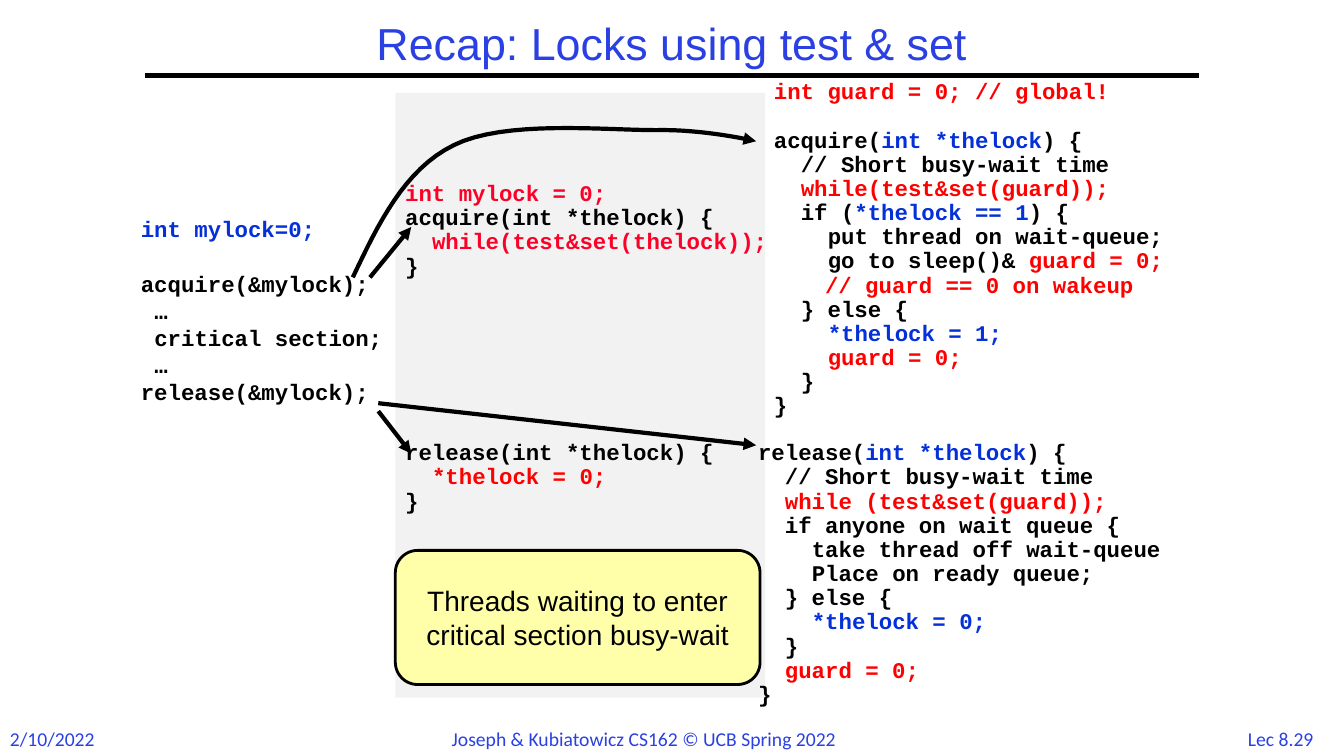
import pptx
import pptx.dml.color
import pptx.enum.shapes
import pptx.enum.text
import pptx.oxml.ns
import pptx.oxml.xmlchemy
import pptx.util
from pptx.util import Cm, Pt

RGBColor = pptx.dml.color.RGBColor
ALIGN = pptx.enum.text.PP_ALIGN
ANCHOR = pptx.enum.text.MSO_ANCHOR
SHAPE = pptx.enum.shapes.MSO_SHAPE
STRAIGHT = pptx.enum.shapes.MSO_CONNECTOR.STRAIGHT
qn = pptx.oxml.ns.qn

BLACK = RGBColor(0x00, 0x00, 0x00)
RED = RGBColor(0xFF, 0x00, 0x00)
CRIMSON = RGBColor(0xFC, 0x01, 0x28)
CODE_BLUE = RGBColor(0x03, 0x30, 0xD8)
TITLE_BLUE = RGBColor(0x2A, 0x40, 0xE2)
PANEL_GREY = RGBColor(0xF2, 0xF2, 0xF2)
CALLOUT_YELLOW = RGBColor(0xFF, 0xFF, 0xAA)

CODE_SIZE = 16
CHAR_WIDTH = 0.6 * CODE_SIZE
LINE_HEIGHT = 1.2 * CODE_SIZE
BLANK = None


def style(paragraph, font_name, size, color, align=ALIGN.LEFT, bold=False):
    """Set the font and alignment of a paragraph."""
    paragraph.alignment = align
    font = paragraph.font
    font.name, font.size, font.bold = font_name, Pt(size), bold
    font.color.rgb = color


def text_box(slide, box, wrap=True):
    """Add a text box and return its text frame."""
    frame = slide.shapes.add_textbox(*map(Cm, box)).text_frame
    frame.word_wrap = wrap
    return frame


def code_block(slide, box, lines, spacing=0.9, gap=0):
    """Write code lines, each an indent in characters and its coloured runs."""
    frame = text_box(slide, box)
    paragraph = frame.paragraphs[0]
    before = 0
    for number, line in enumerate(lines):
        if line is BLANK:
            before += spacing * LINE_HEIGHT + gap
            continue
        if number:
            paragraph = frame.add_paragraph()
        indent, *runs = line
        style(paragraph, "Courier New", CODE_SIZE, runs[0][1], bold=True)
        paragraph.line_spacing = spacing
        paragraph.space_before = Pt(before)
        before = gap
        paragraph._p.get_or_add_pPr().set("marL", str(Pt(indent * CHAR_WIDTH)))
        for words, color in runs:
            run = paragraph.add_run()
            run.text = words
            if color != runs[0][1]:
                run.font.color.rgb = color


def heading(slide, box):
    """Place the title with the rule under it."""
    left, top, width, height = box
    frame = text_box(slide, box)
    frame.vertical_anchor = ANCHOR.MIDDLE
    title = frame.paragraphs[0]
    title.text = "Recap: Locks using test & set"
    title.line_spacing = 0.9
    style(title, "Arial", 32, TITLE_BLUE, ALIGN.CENTER)
    line_up(slide, (left, top + height), (left + width, top + height))


def line_up(slide, start, end, arrow=False):
    """Draw a straight black line, with an arrowhead if asked."""
    link = slide.shapes.add_connector(STRAIGHT, *map(Cm, start + end))
    ink(link, arrow)
    link.element.spPr.append(pptx.oxml.xmlchemy.OxmlElement("a:effectLst"))


def ink(stroke, arrow):
    """Make a stroke black and thick, with an arrowhead if asked."""
    stroke.line.color.rgb = BLACK
    stroke.line.width = Pt(3)
    if arrow:
        head = pptx.oxml.xmlchemy.OxmlElement("a:tailEnd")
        head.set("type", "triangle")
        stroke.element.spPr.find(qn("a:ln")).append(head)


def caller(slide, box):
    """Place the code that uses the lock."""
    code_block(slide, box, [
        (0, ("int mylock=0;", CODE_BLUE)),
        BLANK,
        (0, ("acquire(&mylock);", BLACK)),
        (1, ("…", BLACK)),
        (1, ("critical section;", BLACK)),
        (1, ("…", BLACK)),
        (0, ("release(&mylock);", BLACK)),
    ], spacing=0.8, gap=4)


def spin_lock(slide, box):
    """Place the grey panel with the busy-wait lock and its callout."""
    left, top, width, height = box
    panel = slide.shapes.add_shape(SHAPE.RECTANGLE, *map(Cm, box))
    panel.shadow.inherit = False
    panel.fill.solid()
    panel.fill.fore_color.rgb = PANEL_GREY
    panel.line.fill.background()
    code_block(slide, (left, top + 2.13, width + 0.41, 2.72), [
        (0, ("int mylock = 0;", CRIMSON)),
        (0, ("acquire(int *thelock) {", BLACK)),
        (2, ("while(test&set(thelock));", CRIMSON)),
        (0, ("}", BLACK)),
    ])
    code_block(slide, (left, top + 8.66, width - 0.86, 2.1), [
        (0, ("release(int *thelock) {", BLACK)),
        (2, ("*thelock = 0;", RED)),
        (0, ("}", BLACK)),
    ])
    callout = slide.shapes.add_shape(
        SHAPE.ROUNDED_RECTANGLE, Cm(left), Cm(top + 11.53), Cm(width - 0.13), Cm(3.38))
    callout.shadow.inherit = False
    callout.fill.solid()
    callout.fill.fore_color.rgb = CALLOUT_YELLOW
    callout.line.color.rgb = BLACK
    callout.line.width = Pt(2)
    callout.text_frame.word_wrap = True
    callout.text_frame.vertical_anchor = ANCHOR.MIDDLE
    remark = callout.text_frame.paragraphs[0]
    remark.text = "Threads waiting to enter critical section busy-wait"
    style(remark, "Arial", 20, BLACK, ALIGN.CENTER)


def guarded_lock(slide, box):
    """Place the lock that sleeps and protects itself with a guard."""
    left, top, width, height = box
    code_block(slide, (left + 0.4, top, width - 0.4, 8.86), [
        (0, ("int guard = 0; // global!", RED)),
        BLANK,
        (0, ("acquire(", BLACK), ("int *thelock", CODE_BLUE), (") {", BLACK)),
        (2, ("// Short busy-wait time", BLACK)),
        (2, ("while(test&set(guard));", RED)),
        (2, ("if (", BLACK), ("*thelock == 1", CODE_BLUE), (") {", BLACK)),
        (4, ("put thread on wait-queue;", BLACK)),
        (4, ("go to sleep()& ", BLACK), ("guard = 0;", RED)),
        (3.8, ("// guard == 0 on wakeup", RED)),
        (2, ("} else {", BLACK)),
        (4, ("*thelock = 1;", CODE_BLUE)),
        (4, ("guard = 0;", RED)),
        (2, ("}", BLACK)),
        (0, ("}", BLACK)),
    ])
    code_block(slide, (left, top + 9.1, width, height - 9.1), [
        (0, ("release(", BLACK), ("int *thelock", CODE_BLUE), (") {", BLACK)),
        (2, ("// Short busy-wait time", BLACK)),
        (2, ("while (test&set(guard));", RED)),
        (2, ("if anyone on wait queue {", BLACK)),
        (4, ("take thread off wait-queue", BLACK)),
        (4, ("Place on ready queue;", BLACK)),
        (2, ("} else {", BLACK)),
        (4, ("*thelock = 0;", CODE_BLUE)),
        (2, ("}", BLACK)),
        (2, ("guard = 0;", RED)),
        (0, ("}", BLACK)),
    ])


def bezier(points, t):
    """Return the point at t on a cubic curve."""
    weights = ((1 - t) ** 3, 3 * t * (1 - t) ** 2, 3 * t * t * (1 - t), t ** 3)
    return tuple(sum(w * p[axis] for w, p in zip(weights, points)) for axis in (0, 1))


def call_arrows(slide, box):
    """Draw the arrows from the calls to both versions of the lock."""
    left, top, width, height = box
    for x1, y1, x2, y2 in ((0.64, 6.96, width, 8.02), (0.64, 7.16, 1.47, height),
                           (0.43, 3.79, 1.47, 2.52)):
        line_up(slide, (left + x1, top + y1), (left + x2, top + y2), arrow=True)
    bends = [(0, 3.79), (0.64, 2.44), (1.3, 1.07), (2.54, 0.46), (3.81, -0.18),
             (6.35, 0.08), (7.62, 0.08), (8.86, 0.05), (width, 0.36), (width, 0.36)]
    trail = [bezier(bends[first:first + 4], step / 16)
             for first in (0, 3, 6) for step in range(1, 17)]
    start, *rest = [(Cm(left + x), Cm(top + y)) for x, y in [bends[0]] + trail]
    builder = slide.shapes.build_freeform(*start)
    builder.add_line_segments(rest, close=False)
    curve = builder.convert_to_shape()
    curve.fill.background()
    ink(curve, arrow=True)
    curve.shadow.inherit = False


def footer(slide, box):
    """Place date, course and lecture number along the bottom."""
    left, top, width, height = box
    for words, offset, span in (
            ("2/10/2022", 0, 2.72),
            ("Joseph & Kubiatowicz CS162 © UCB Spring 2022", 11.13, 11.56),
            ("Lec 8.29", width - 2.67, 2.46)):
        note = text_box(slide, (left + offset, top, span, height), wrap=False).paragraphs[0]
        note.text = words
        style(note, "Calibri", 14, TITLE_BLUE)


deck = pptx.Presentation()
deck.slide_width, deck.slide_height = Cm(33.86), Cm(19.05)
recap = deck.slides.add_slide(deck.slide_layouts[6])
footer(recap, (0, 18.19, 33.86, 0.86))
heading(recap, (3.66, 0.43, 26.54, 1.47))
spin_lock(recap, (9.96, 2.34, 9.32, 15.24))
guarded_lock(recap, (18.85, 1.9, 11.05, 16.14))
caller(recap, (3.3, 5.44, 6.83, 4.52))
call_arrows(recap, (8.89, 3.2, 10.16, 8.23))
deck.save("out.pptx")
